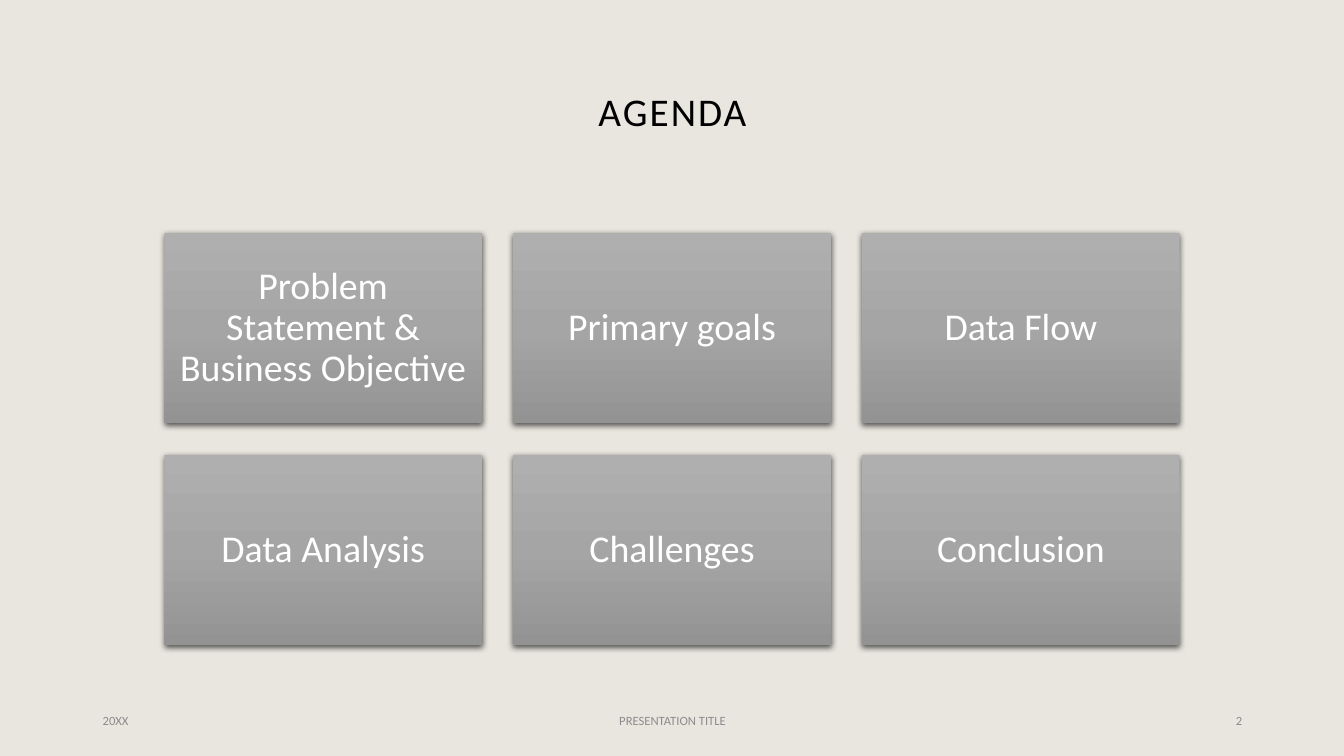
from copy import deepcopy

from lxml.etree import SubElement
from pptx import Presentation
from pptx.dml.color import RGBColor
from pptx.enum.shapes import MSO_SHAPE
from pptx.enum.text import MSO_ANCHOR, PP_ALIGN
from pptx.oxml.ns import qn
from pptx.util import Inches, Pt

TOPICS = [
    ["Problem Statement & Business Objective", "Primary goals", "Data Flow"],
    ["Data Analysis", "Challenges", "Conclusion"],
]
TITLE = "AGENDA"
FOOTERS = [
    ("20XX", 0.92, 3, PP_ALIGN.LEFT),
    ("PRESENTATION TITLE", 4.42, 4.5, PP_ALIGN.CENTER),
    ("2", 9.42, 3, PP_ALIGN.RIGHT),
]

FONT = "Calibri"
BACKGROUND = RGBColor(0xE9, 0xE6, 0xDF)
BLACK = RGBColor(0, 0, 0)
WHITE = RGBColor(0xFF, 0xFF, 0xFF)
FOOTER_GREY = RGBColor(0x8C, 0x8C, 0x8C)
TILE_STOPS = [
    (0, RGBColor(0xAF, 0xAF, 0xAF)),
    (0.5, RGBColor(0xA5, 0xA5, 0xA5)),
    (1, RGBColor(0x93, 0x93, 0x93)),
]

SLIDE_WIDTH, SLIDE_HEIGHT = 13.33, 7.5
TILE_WIDTH, TILE_HEIGHT, GAP = 3.15, 1.89, 0.31
GRID_TOP = 2.31
FOOTER_TOP, FOOTER_HEIGHT = 6.95, 0.4


def write(shape, text, size, color, align, after=0, leading=1.0):
    frame = shape.text_frame
    frame.word_wrap = True
    frame.vertical_anchor = MSO_ANCHOR.MIDDLE
    para = frame.paragraphs[0]
    para.alignment = align
    para.line_spacing = leading
    para.space_after = Pt(after)
    span = para.add_run()
    span.text = text
    span.font.name = FONT
    span.font.size = Pt(size)
    span.font.color.rgb = color
    return span


def add_box(page, left, top, width, height):
    return page.shapes.add_textbox(*map(Inches, (left, top, width, height)))


def shade(tile):
    tile.fill.gradient()
    tile.fill.gradient_angle = 270
    stop_list = tile.element.spPr.find(qn("a:gradFill")).find(qn("a:gsLst"))
    stop_list.append(deepcopy(stop_list[-1]))
    for stop, (position, color) in zip(tile.fill.gradient_stops, TILE_STOPS):
        stop.position = position
        stop.color.rgb = color


def cast_shadow(tile):
    tile.shadow.inherit = False
    effects = tile.element.spPr.find(qn("a:effectLst"))
    shadow = SubElement(effects, qn("a:outerShdw"), blurRad=str(Pt(4.5)),
                        dist=str(Pt(1.5)), dir="5400000", algn="ctr", rotWithShape="0")
    color = SubElement(shadow, qn("a:srgbClr"), val=str(BLACK))
    SubElement(color, qn("a:alpha"), val="63000")


def add_tile(page, left, top, topic):
    tile = page.shapes.add_shape(
        MSO_SHAPE.RECTANGLE, *map(Inches, (left, top, TILE_WIDTH, TILE_HEIGHT)))
    shade(tile)
    tile.line.fill.background()
    cast_shadow(tile)
    frame = tile.text_frame
    frame.margin_left = frame.margin_right = Inches(0.11)
    frame.margin_top = frame.margin_bottom = Inches(0.11)
    write(tile, topic, 27, WHITE, PP_ALIGN.CENTER, leading=0.9)


def main():
    """Build the agenda slide."""
    deck = Presentation()
    deck.slide_width, deck.slide_height = Inches(SLIDE_WIDTH), Inches(SLIDE_HEIGHT)
    page = deck.slides.add_slide(deck.slide_layouts[6])
    page.background.fill.solid()
    page.background.fill.fore_color.rgb = BACKGROUND

    title = add_box(page, 0.92, 0.4, 11.5, 1.45)
    span = write(title, TITLE, 28, BLACK, PP_ALIGN.CENTER, leading=0.9)
    span.font._element.set("spc", "150")

    columns = len(TOPICS[0])
    grid_left = (SLIDE_WIDTH - columns * TILE_WIDTH - (columns - 1) * GAP) / 2
    for row, topics in enumerate(TOPICS):
        for column, topic in enumerate(topics):
            add_tile(page, grid_left + column * (TILE_WIDTH + GAP),
                     GRID_TOP + row * (TILE_HEIGHT + GAP), topic)

    for text, left, width, align in FOOTERS:
        footer = add_box(page, left, FOOTER_TOP, width, FOOTER_HEIGHT)
        write(footer, text, 9, FOOTER_GREY, align, after=6)

    deck.save("out.pptx")


if __name__ == "__main__":
    main()
